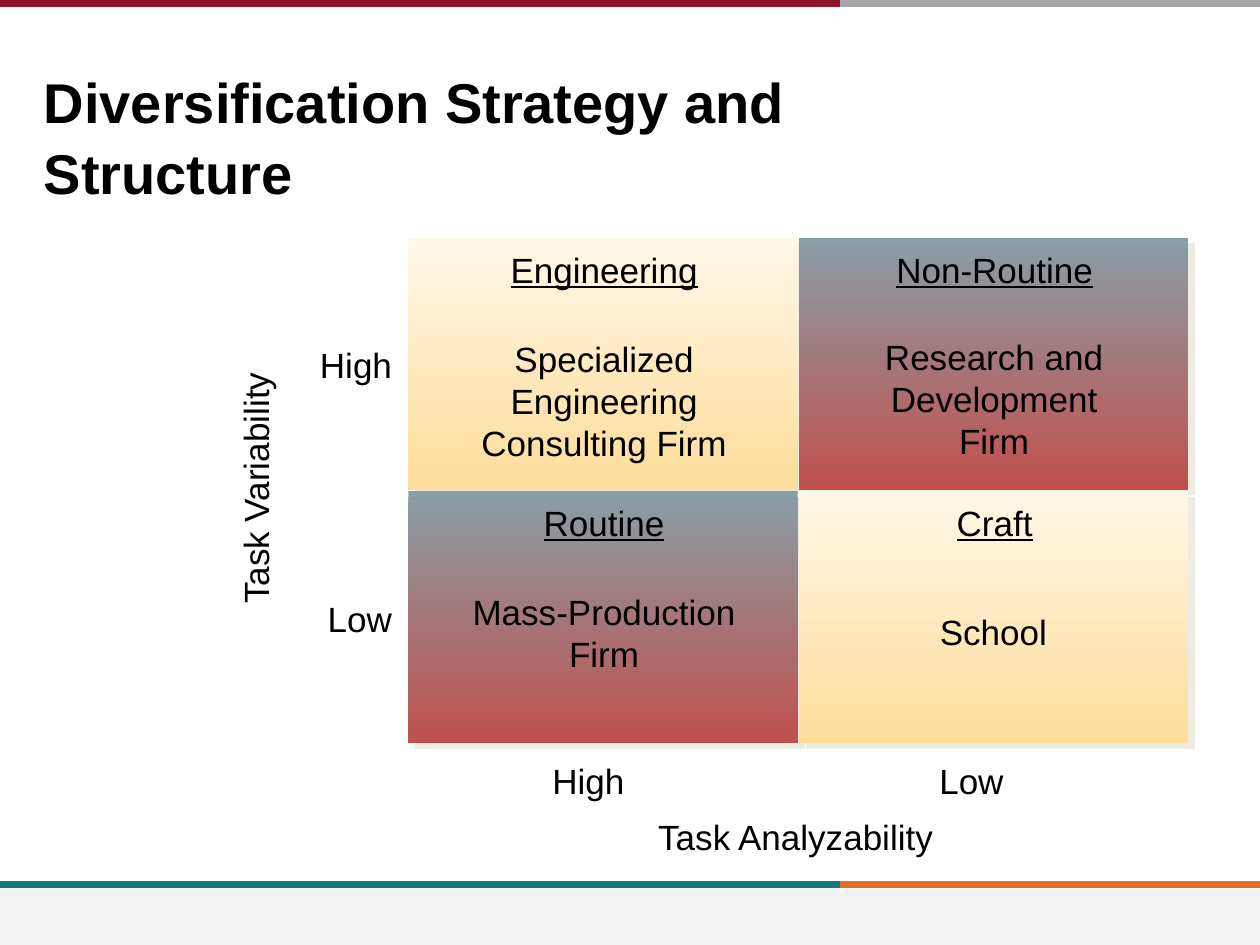
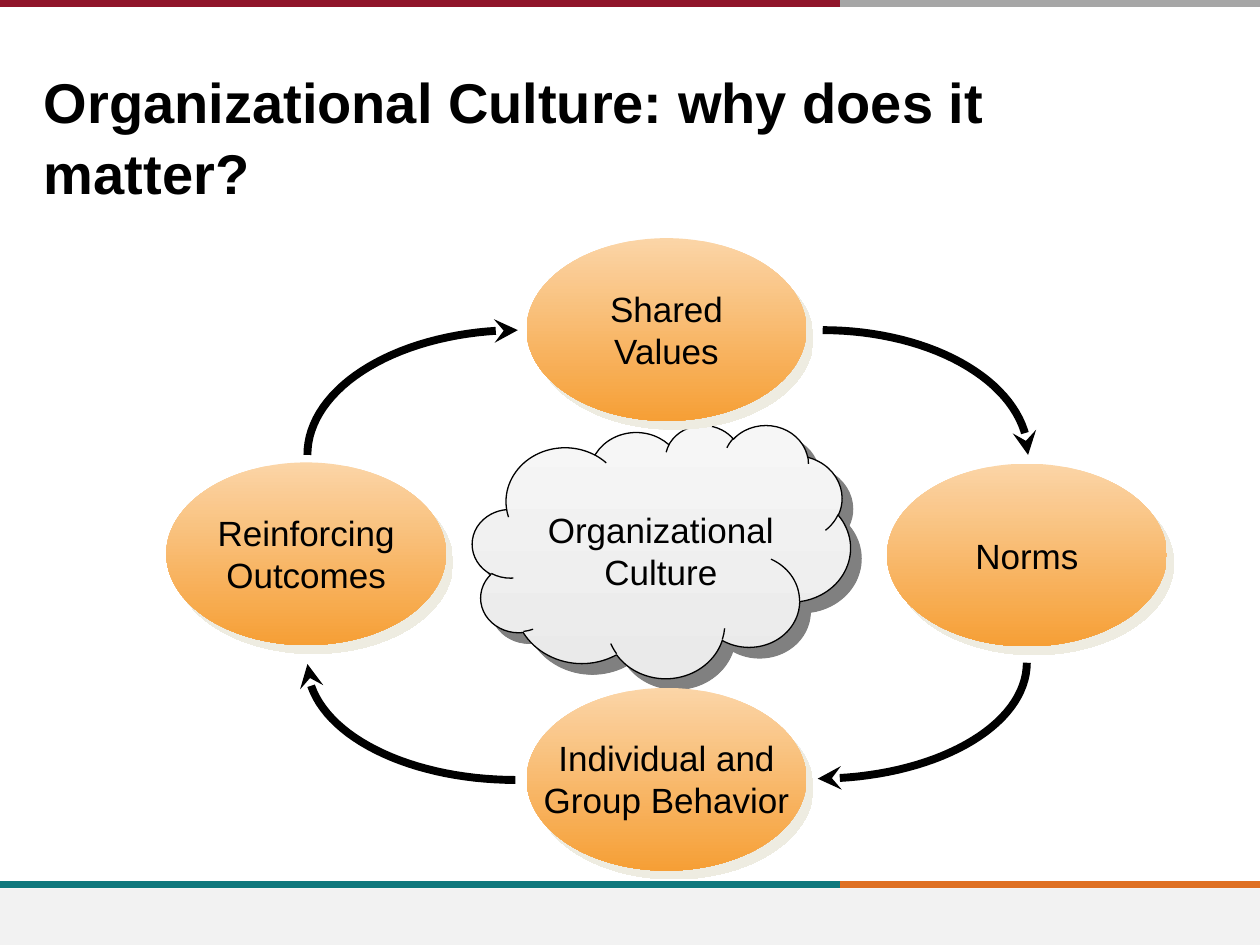
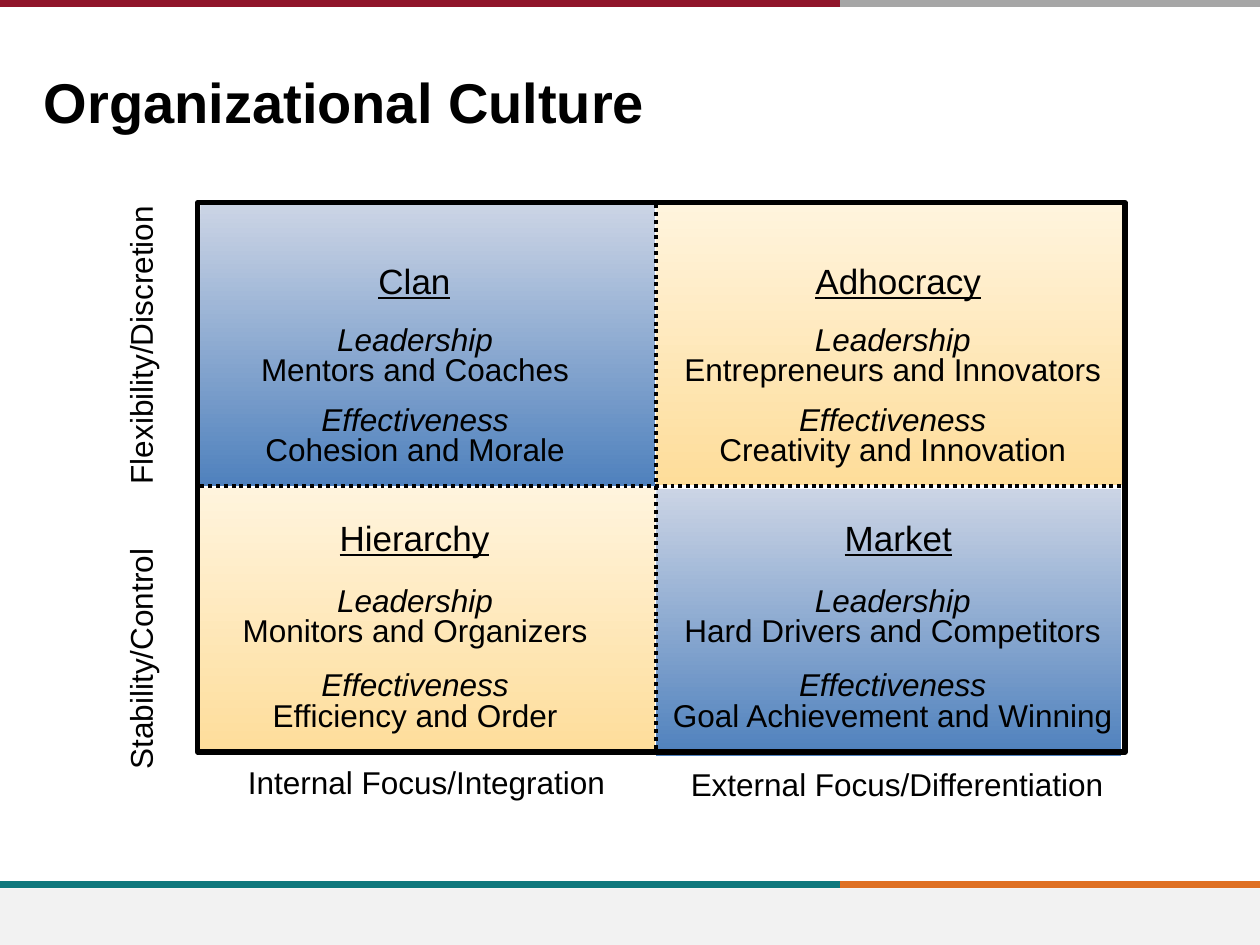
import math

from lxml import etree
from pptx import Presentation
from pptx.dml.color import RGBColor
from pptx.enum.dml import MSO_LINE
from pptx.enum.shapes import MSO_CONNECTOR, MSO_SHAPE
from pptx.enum.text import MSO_AUTO_SIZE, PP_ALIGN
from pptx.oxml.ns import qn
from pptx.util import Inches, Pt

RECTANGLE, OVAL, CLOUD = MSO_SHAPE.RECTANGLE, MSO_SHAPE.OVAL, MSO_SHAPE.CLOUD
STRAIGHT = MSO_CONNECTOR.STRAIGHT
DOTTED = MSO_LINE.ROUND_DOT
LEFT, CENTER, RIGHT = PP_ALIGN.LEFT, PP_ALIGN.CENTER, PP_ALIGN.RIGHT
FIT_SHAPE = MSO_AUTO_SIZE.SHAPE_TO_FIT_TEXT

FONT = "Arial"
COLORS = {
    "black": "000000", "crimson": "90152A", "gray": "A6A6A6",
    "teal": "0F787D", "orange": "DF7023", "footer": "F2F2F2",
    "cream": "FFF7E7", "pale cream": "FFF4DD", "yellow": "FEDD9A",
    "slate": "899EA5", "brick": "C0504D",
    "peach": "FBD5A7", "amber": "F69F36",
    "mist": "F6F6F6", "silver": "EAEAEA",
    "pale blue": "CBD4E5", "blue": "4F81BD",
    "soft shadow": "EEECE1", "dark shadow": "808080",
}


def rgb(name):
    return RGBColor.from_string(COLORS[name])


def inches(values):
    return [Inches(value) for value in values]


def add_text(slide, text, box, size=20, align=CENTER, bold=False, underline=False,
             first_italic=False, rotation=0, wrap=True, spacing=None):
    """Write each line of text as a paragraph; first_italic slants the first one."""
    label = slide.shapes.add_textbox(*inches(box))
    label.rotation = rotation
    frame = label.text_frame
    frame.word_wrap = wrap
    frame.auto_size = FIT_SHAPE
    for index, line in enumerate(text.split("\n")):
        paragraph = frame.paragraphs[0] if index == 0 else frame.add_paragraph()
        paragraph.alignment = align
        if spacing:
            paragraph.line_spacing = spacing
        run = paragraph.add_run()
        run.text = line
        font = run.font
        font.name, font.size, font.bold = FONT, Pt(size), bold
        font.underline = underline
        font.italic = first_italic and index == 0
        font.color.rgb = rgb("black")


def add_block(slide, preset, box, fill=None, line=None, shadow=None):
    """fill is a colour or a (top, bottom) pair, line is (colour, points),
    shadow is (colour, points away, degrees)."""
    block = slide.shapes.add_shape(preset, *inches(box))
    block.shadow.inherit = False
    if fill is None:
        block.fill.background()
    elif isinstance(fill, str):
        block.fill.solid()
        block.fill.fore_color.rgb = rgb(fill)
    else:
        block.fill.gradient()
        block.fill.gradient_angle = 270
        for stop, color in zip(block.fill.gradient_stops, fill):
            stop.color.rgb = rgb(color)
    if line:
        block.line.color.rgb = rgb(line[0])
        block.line.width = Pt(line[1])
    else:
        block.line.fill.background()
    if shadow:
        color, distance, angle = shadow
        effects = block._element.spPr.find(qn("a:effectLst"))
        outer = etree.SubElement(effects, qn("a:outerShdw"), blurRad="0",
                                 dist=str(Pt(distance)), dir=str(angle * 60000),
                                 algn="ctr", rotWithShape="0")
        etree.SubElement(outer, qn("a:srgbClr"), val=COLORS[color])


def add_line(slide, start, end, color, width, dash=None):
    line = slide.shapes.add_connector(STRAIGHT, *inches(start + end))
    line.line.color.rgb = rgb(color)
    line.line.width = Pt(width)
    if dash:
        line.line.dash_style = dash
    etree.SubElement(line._element.spPr, qn("a:effectLst"))


def add_curved_arrow(slide, level_end, upright_end, head_tag):
    """Quarter ellipse, horizontal at level_end and vertical at upright_end."""
    (x0, y0), (x1, y1) = level_end, upright_end
    steps = 32
    angles = [math.pi / 2 * step / steps for step in range(steps + 1)]
    points = [inches((x0 + (x1 - x0) * math.sin(angle), y1 + (y0 - y1) * math.cos(angle)))
              for angle in angles]
    builder = slide.shapes.build_freeform(*points[0])
    builder.add_line_segments(points[1:], close=False)
    arrow = builder.convert_to_shape()
    arrow.shadow.inherit = False
    arrow.fill.background()
    arrow.line.color.rgb = rgb("black")
    arrow.line.width = Pt(4.5)
    etree.SubElement(arrow.line._get_or_add_ln(), qn(head_tag), type="stealth")


def add_slide(deck, title):
    """Add a slide with the shared bands, footer and title."""
    slide = deck.slides.add_slide(deck.slide_layouts[6])
    split = 6.67
    for y, left_color, right_color in ((7.02, "teal", "orange"), (0.03, "crimson", "gray")):
        add_line(slide, (split, y), (10, y), right_color, 4)
        add_line(slide, (0, y), (split, y), left_color, 4)
    add_block(slide, RECTANGLE, (0, 7.05, 10, 0.45), "footer")
    add_text(slide, title, (0.25, 0.46, 7.99, 0.59), size=32, align=LEFT, bold=True,
             spacing=1.05)
    return slide


def build_strategy_slide(deck):
    slide = add_slide(deck, "Diversification Strategy and Structure")
    left, top, column_step, row_step = 3.24, 1.89, 3.1, 2.01
    light, dark = ("cream", "yellow"), ("slate", "brick")
    quadrants = [
        (0, 0, light, "Engineering", "Specialized Engineering Consulting Firm",
         (3.41, 2.63, 2.77, 1.1)),
        (1, 0, dark, "Non-Routine", "Research and Development Firm", (6.69, 2.61, 2.4, 1.1)),
        (0, 1, dark, "Routine", "Mass-Production Firm", (3.41, 4.64, 2.77, 0.77)),
        (1, 1, light, "Craft", "School", (6.5, 4.8, 2.77, 0.43)),
    ]
    for column, row, fill, heading, example, example_box in quadrants:
        x, y = left + column * column_step, top + row * row_step
        add_block(slide, RECTANGLE, (x, y, 3.09, 2), fill, shadow=("soft shadow", 5, 37))
        add_text(slide, heading, (x + 0.17, y + 0.03, 2.77, 0.43), underline=True)
        add_text(slide, example, example_box)
    for index, level in enumerate(("High", "Low")):
        add_text(slide, level, (2.23, 2.68 + index * row_step, 0.98, 0.43), align=RIGHT)
        add_text(slide, level, (4.18 + index * 3.04, 5.98, 0.98, 0.43))
    add_text(slide, "Task Analyzability", (4.93, 6.42, 2.77, 0.43))
    add_text(slide, "Task Variability", (0.64, 3.66, 2.77, 0.43), rotation=270)


def build_cycle_slide(deck):
    slide = add_slide(deck, "Organizational Culture: why does it matter?")
    arrows = [
        ((6.53, 2.62), (8.16, 3.61), "a:tailEnd"),
        ((4.09, 6.19), (2.44, 5.27), "a:tailEnd"),
        ((4.11, 2.62), (2.44, 3.61), "a:headEnd"),
        ((6.49, 6.18), (8.15, 5.26), "a:headEnd"),
    ]
    for level_end, upright_end, head_tag in arrows:
        add_curved_arrow(slide, level_end, upright_end, head_tag)

    add_block(slide, CLOUD, (3.75, 3.37, 3, 2.01), ("mist", "silver"),
              line=("black", 0.75), shadow=("dark shadow", 8.5, 45))
    add_text(slide, "Organizational Culture", (4.2, 3.99, 2.09, 0.77))

    width, height = 2.22, 1.45
    stages = [
        ("Norms", 7.04, 3.68, 1.02, 0.43),
        ("Reinforcing Outcomes", 1.32, 3.67, 1.78, 0.77),
        ("Shared Values", 4.18, 1.89, 1.2, 0.77),
        ("Individual and Group Behavior", 4.18, 5.46, 2.28, 0.77),
    ]
    for stage, x, y, text_width, text_height in stages:
        add_block(slide, OVAL, (x, y, width, height), ("peach", "amber"),
                  shadow=("soft shadow", 6.4, 51))
        text_box = (x + (width - text_width) / 2, y + (height - text_height) / 2,
                    text_width, text_height)
        add_text(slide, stage, text_box, wrap=stage != "Norms")


def build_culture_slide(deck):
    slide = add_slide(deck, "Organizational Culture")
    blue, yellow = ("pale blue", "blue"), ("pale cream", "yellow")
    # left and width of the text, centre of the heading
    columns = [(1.38, 3.83, 3.29), (5.21, 3.75, 7.13)]
    # tops of heading, leadership and effectiveness
    rows = [(2.01, 2.55, 3.18), (4.05, 4.62, 5.29)]
    cultures = [
        (0, 0, (1.59, 1.63, 3.61, 2.23), blue, "Clan", 0.8,
         "Mentors and Coaches", "Cohesion and Morale"),
        (1, 0, (5.21, 1.62, 3.72, 2.23), yellow, "Adhocracy", 1.64,
         "Entrepreneurs and Innovators", "Creativity and Innovation"),
        (1, 1, (5.21, 3.88, 3.69, 2.12), blue, "Market", 1.1,
         "Hard Drivers and Competitors", "Goal Achievement and Winning"),
        (0, 1, (1.58, 3.87, 3.62, 2.12), yellow, "Hierarchy", 1.48,
         "Monitors and Organizers", "Efficiency and Order"),
    ]
    for column, row, box, fill, culture, heading_width, leaders, results in cultures:
        left, width, center = columns[column]
        heading_top, leadership_top, effectiveness_top = rows[row]
        add_block(slide, RECTANGLE, box, fill)
        add_text(slide, culture, (center - heading_width / 2, heading_top, heading_width, 0.43),
                 underline=True, wrap=False)
        for trait, detail, top in (("Leadership", leaders, leadership_top),
                                   ("Effectiveness", results, effectiveness_top)):
            add_text(slide, f"{trait}\n{detail}", (left, top, width, 0.58), size=18,
                     first_italic=True, spacing=0.8)

    axis_labels = [
        ("Internal Focus/Integration", (1.75, 6.01, 3.27, 0.4), 0),
        ("External Focus/Differentiation", (5.24, 6.02, 3.76, 0.4), 0),
        ("Stability/Control", (0.05, 5.03, 2.13, 0.4), 270),
        ("Flexibility/Discretion", (-0.21, 2.54, 2.65, 0.4), 270),
    ]
    for label, box, rotation in axis_labels:
        add_text(slide, label, box, size=18, rotation=rotation, wrap=False)

    add_line(slide, (5.21, 1.62), (5.21, 5.97), "black", 2.25, DOTTED)
    add_block(slide, RECTANGLE, (1.57, 1.61, 7.36, 4.36), line=("black", 3))
    add_line(slide, (1.59, 3.86), (8.93, 3.86), "black", 2.25, DOTTED)


def main():
    deck = Presentation()
    deck.slide_width, deck.slide_height = Inches(10), Inches(7.5)
    build_strategy_slide(deck)
    build_cycle_slide(deck)
    build_culture_slide(deck)
    deck.save("out.pptx")


if __name__ == "__main__":
    main()
